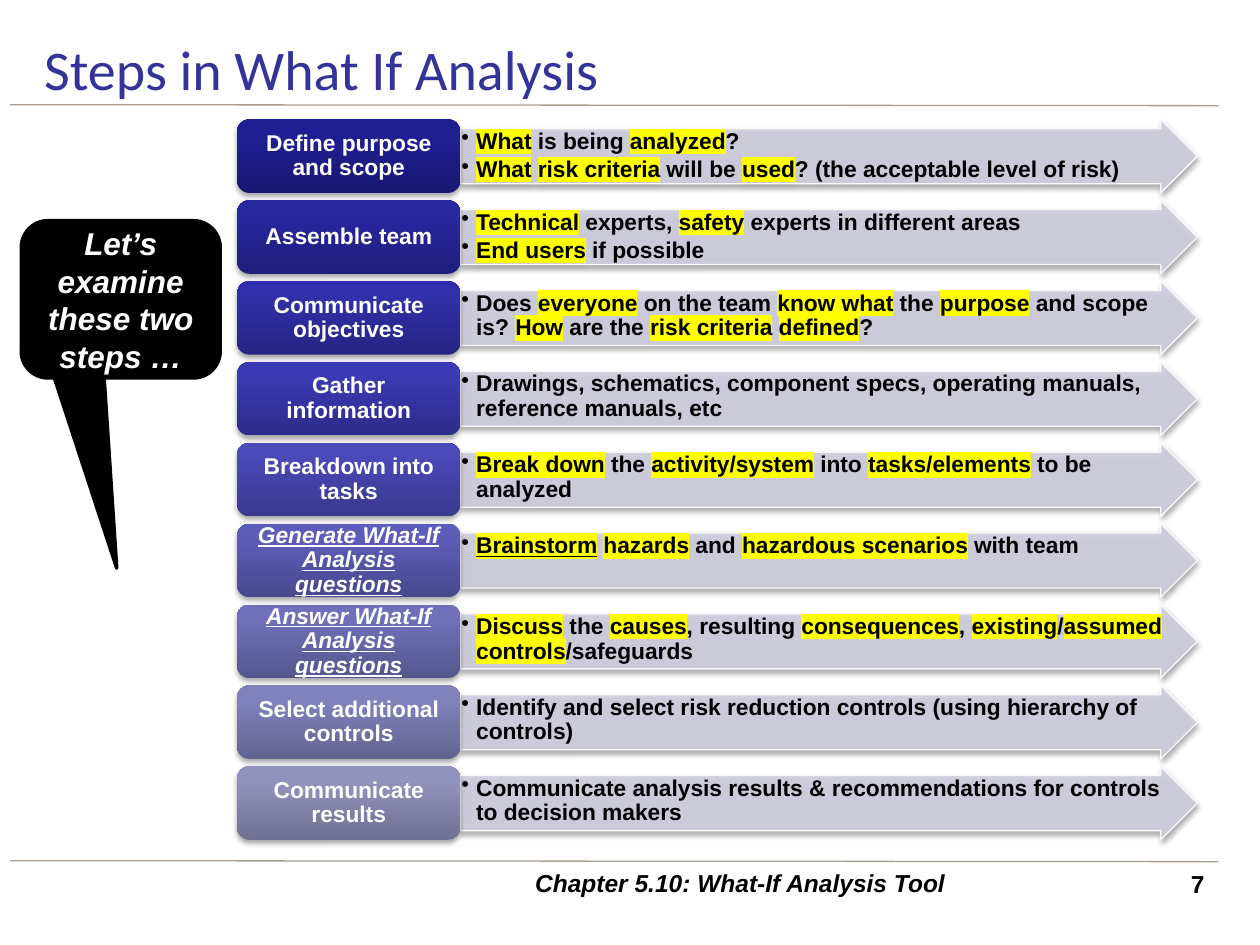
from dataclasses import dataclass

from lxml import etree
from pptx import Presentation
from pptx import util as u
from pptx.dml.color import RGBColor
from pptx.enum import shapes, text
from pptx.oxml import ns

BLACK = RGBColor(0x00, 0x00, 0x00)
WHITE = RGBColor(0xFF, 0xFF, 0xFF)
TITLE_BLUE = RGBColor(0x33, 0x33, 0x99)
RULE_TAUPE = RGBColor(0xAA, 0x9C, 0x8F)
ARROW_FILL = RGBColor(0xCE, 0xCE, 0xDE)
ARROW_EDGE = RGBColor(0xF9, 0xF9, 0xF9)
HIGHLIGHT = RGBColor(0xFF, 0xFF, 0x00)

FIRST_TOP, PITCH, ROW_HEIGHT = 2.41, 1.63, 1.48
LABEL_LEFT, LABEL_WIDTH = 4.78, 4.5
ARROW_LEFT, ARROW_WIDTH = 9.28, 14.86


@dataclass(frozen=True)
class Style:
    size: float
    color: RGBColor = BLACK
    bold: bool = True
    italic: bool = False
    underline: bool = False
    font: str = "Arial"


@dataclass(frozen=True)
class Step:
    label: str
    shades: tuple[str, str, str]
    bullets: tuple[str, ...]
    emphasized: bool = False
    underlined: str = ""


STEPS = [
    Step("Define purpose and scope", ("181872", "1F1F94", "1D1D97"),
         ("*What* is being *analyzed*?",
          "*What* *risk criteria* will be *used*? (the acceptable level of risk)")),
    Step("Assemble team", ("1E1E7B", "27279F", "2525A2"),
         ("*Technical* experts, *safety* experts in different areas",
          "*End users* if possible")),
    Step("Communicate objectives", ("252583", "3030AA", "2E2EAD"),
         ("Does *everyone* on the team *know what* the *purpose* and scope is? "
          "*How* are the *risk criteria* *defined*?",)),
    Step("Gather information", ("2C2C8A", "3A3AB4", "3838B7"),
         ("Drawings, schematics, component specs, operating manuals, "
          "reference manuals, etc",)),
    Step("Breakdown into tasks", ("39398E", "4949B8", "4848BB"),
         ("*Break down* the *activity/system* into *tasks/elements* to be analyzed",)),
    Step("Generate What-If Analysis questions", ("48488E", "5D5DB9", "5C5CBC"),
         ("*Brainstorm* *hazards* and *hazardous scenarios* with team",),
         emphasized=True, underlined="Brainstorm"),
    Step("Answer What-If Analysis questions", ("56568F", "7070BA", "6F6FBC"),
         ("*Discuss* the *causes*, resulting *consequences*, "
          "*existing*/*assumed* *controls*/safeguards",),
         emphasized=True),
    Step("Select additional controls", ("636391", "8181BC", "8080BE"),
         ("Identify and select risk reduction controls (using hierarchy of controls)",)),
    Step("Communicate results", ("707092", "9292BE", "9292C0"),
         ("Communicate analysis results & recommendations for controls "
          "to decision makers",)),
]


def add_node(parent, tag: str, **attributes):
    node = etree.SubElement(parent, ns.qn(tag))
    for name, value in attributes.items():
        node.set(name, str(value))
    return node


def style_span(span, style: Style) -> None:
    font = span.font
    font.size = u.Pt(style.size)
    font.name = style.font
    font.bold, font.italic, font.underline = style.bold, style.italic, style.underline
    font.color.rgb = style.color


def set_text(box, words: str, style: Style, align=text.PP_ALIGN.LEFT,
             anchor=text.MSO_ANCHOR.MIDDLE) -> None:
    frame = box.text_frame
    frame.text = words
    frame.word_wrap = True
    frame.vertical_anchor = anchor
    para = frame.paragraphs[0]
    para.alignment = align
    style_span(para.runs[0], style)


def set_margins(box, sides: float, ends: float) -> None:
    frame = box.text_frame
    frame.margin_left = frame.margin_right = u.Cm(sides)
    frame.margin_top = frame.margin_bottom = u.Cm(ends)


def add_box(page, left: float, top: float, width: float, height: float):
    return page.shapes.add_textbox(u.Cm(left), u.Cm(top), u.Cm(width), u.Cm(height))


def add_shape(page, kind, left: float, top: float, width: float, height: float):
    shape = page.shapes.add_shape(kind, u.Cm(left), u.Cm(top), u.Cm(width), u.Cm(height))
    shape.shadow.inherit = False
    return shape


def add_rule(page, top: float) -> None:
    rule = page.shapes.add_connector(shapes.MSO_CONNECTOR.STRAIGHT,
                                     u.Cm(0.2), u.Cm(top), u.Cm(24.56), u.Cm(top + 0.02))
    rule.line.color.rgb = RULE_TAUPE
    rule.line.width = u.Pt(0.75)
    add_node(rule._element.spPr, "a:effectLst")


def drop_shadow(shape) -> None:
    effects = shape._element.spPr.find(ns.qn("a:effectLst"))
    shadow = add_node(effects, "a:outerShdw", blurRad=40000, dist=23000,
                      dir=5400000, rotWithShape=0)
    add_node(add_node(shadow, "a:srgbClr", val=BLACK), "a:alpha", val=35000)


def shade(shape, shades: tuple[str, str, str]) -> None:
    shape.fill.gradient()
    gradient = shape._element.spPr.find(ns.qn("a:gradFill"))
    for child in list(gradient):
        gradient.remove(child)
    stops = add_node(gradient, "a:gsLst")
    for position, color in zip((0, 80000, 100000), shades):
        add_node(add_node(stops, "a:gs", pos=position), "a:srgbClr", val=color)
    add_node(gradient, "a:lin", ang=16200000, scaled=0)


def add_bullet(para, words: str, underlined: str) -> None:
    para.line_spacing = 0.9
    para.space_after = u.Pt(2)
    properties = para._p.get_or_add_pPr()
    properties.set("marL", str(u.Cm(0.3)))
    properties.set("indent", str(u.Cm(-0.3)))
    add_node(properties, "a:buChar", char="•")
    for index, part in enumerate(words.split("*")):
        if not part:
            continue
        span = para.add_run()
        span.text = part
        style_span(span, Style(13, underline=part == underlined))
        if index % 2:
            run_properties = span._r.get_or_add_rPr()
            marker = add_node(run_properties, "a:highlight")
            add_node(marker, "a:srgbClr", val=HIGHLIGHT)
            run_properties.find(ns.qn("a:latin")).addprevious(marker)


def add_arrow(page, step: Step, top: float) -> None:
    arrow = add_shape(page, shapes.MSO_SHAPE.RIGHT_ARROW,
                      ARROW_LEFT, top, ARROW_WIDTH, ROW_HEIGHT)
    arrow.adjustments[0], arrow.adjustments[1] = 0.75, 0.5
    arrow.fill.solid()
    arrow.fill.fore_color.rgb = ARROW_FILL
    color = arrow._element.spPr.find(ns.qn("a:solidFill"))[0]
    add_node(color, "a:alpha", val=90000)
    arrow.line.color.rgb = ARROW_EDGE
    arrow.line.width = u.Pt(0.75)
    drop_shadow(arrow)
    set_margins(arrow, 0.02, 0.02)
    frame = arrow.text_frame
    frame.word_wrap = True
    frame.vertical_anchor = text.MSO_ANCHOR.TOP
    for index, words in enumerate(step.bullets):
        para = frame.add_paragraph() if index else frame.paragraphs[0]
        para.alignment = text.PP_ALIGN.LEFT
        add_bullet(para, words, step.underlined)


def add_label(page, step: Step, top: float) -> None:
    label = add_shape(page, shapes.MSO_SHAPE.ROUNDED_RECTANGLE,
                      LABEL_LEFT, top, LABEL_WIDTH, ROW_HEIGHT)
    shade(label, step.shades)
    label.line.fill.background()
    drop_shadow(label)
    set_margins(label, 0.13, 0.08)
    set_text(label, step.label,
             Style(13, WHITE, italic=step.emphasized, underline=step.emphasized),
             text.PP_ALIGN.CENTER)
    label.text_frame.paragraphs[0].line_spacing = 0.9


def add_callout(page) -> None:
    callout = add_shape(page, shapes.MSO_SHAPE.ROUNDED_RECTANGULAR_CALLOUT,
                        0.43, 4.45, 4.01, 3.17)
    for index, value in enumerate((-0.02, 1.71, 0.17)):
        callout.adjustments[index] = value
    callout.fill.solid()
    callout.fill.fore_color.rgb = BLACK
    callout.line.color.rgb = BLACK
    callout.line.width = u.Pt(2)
    set_text(callout, "Let’s examine these two steps …",
             Style(18, WHITE, italic=True), text.PP_ALIGN.CENTER)


def main() -> None:
    deck = Presentation()
    deck.slide_width, deck.slide_height = u.Cm(25.4), u.Cm(19.05)
    page = deck.slides.add_slide(deck.slide_layouts[6])
    for top in (2.11, 17.35):
        add_rule(page, top)
    set_text(add_box(page, 0.64, 0.64, 24.13, 1.47), "Steps in What If Analysis",
             Style(32, TITLE_BLUE, bold=False, font="Calibri"))
    for index, step in enumerate(STEPS):
        top = FIRST_TOP + index * PITCH
        add_arrow(page, step, top)
        add_label(page, step, top)
    set_text(add_box(page, 23.06, 17.4, 1.47, 0.79), "7", Style(14),
             text.PP_ALIGN.RIGHT, text.MSO_ANCHOR.TOP)
    set_text(add_box(page, 7.42, 17.4, 15.01, 0.79), "Chapter 5.10: What-If Analysis Tool",
             Style(14, italic=True), text.PP_ALIGN.CENTER)
    add_callout(page)
    deck.save("out.pptx")


if __name__ == "__main__":
    main()
